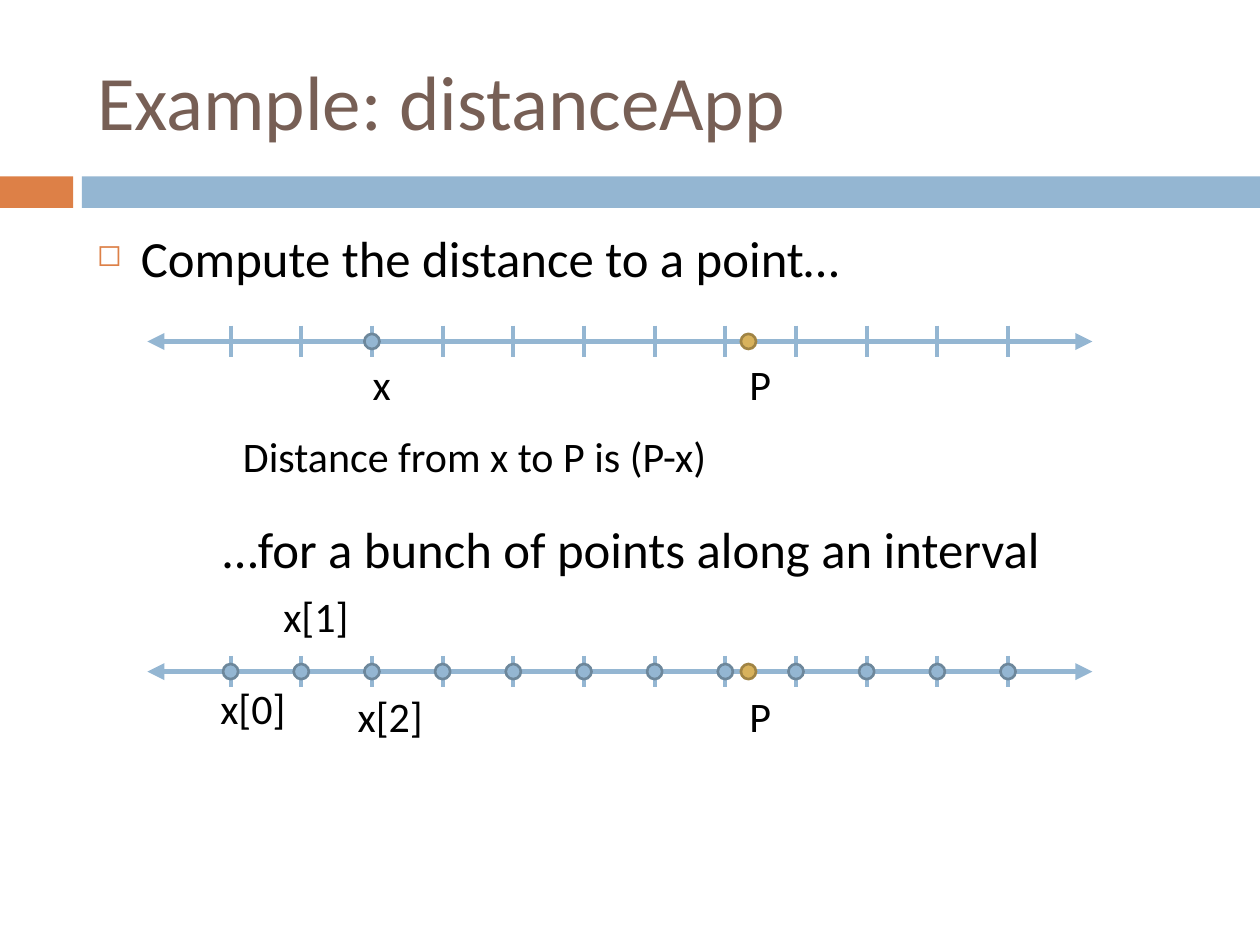
from lxml.etree import SubElement
from pptx import Presentation
from pptx.dml.color import RGBColor
from pptx.enum.shapes import MSO_CONNECTOR, MSO_SHAPE
from pptx.enum.text import MSO_ANCHOR, PP_ALIGN
from pptx.oxml.ns import qn
from pptx.util import Inches, Pt

COLORS = {"blue": "94B6D2", "rim": "6D879B", "gold": "D8B25C", "edge": "A08444",
          "orange": "DD8047", "brown": "775F55", "black": "000000"}
TITLE = "Example: distanceApp"
BODY = ["Compute the distance to a point…", "…for a bunch of points along an interval"]
BANDS = [(0, 0.58, "orange"), (0.65, 9.35, "blue")]
LABELS = [("x", 2.86, 2.8, 0.37), ("P", 5.85, 2.8, 0.37),
          ("Distance from x to P is (P-x)", 1.83, 3.37, 3.89),
          ("x[0]", 1.65, 5.37, 0.74), ("x[1]", 2.15, 4.64, 0.74),
          ("x[2]", 2.74, 5.43, 0.74), ("P", 5.85, 5.43, 0.37)]
COUNT, FIRST, LAST = 12, 1.83, 8
TICKS = [FIRST + i * (LAST - FIRST) / (COUNT - 1) for i in range(COUNT)]
AXES = [(2.71, TICKS[2:3]), (5.33, TICKS)]
POINT, DOT, HALF = 5.94, 0.12, 0.125


def color(name):
    """Return the named colour."""
    return RGBColor.from_string(COLORS[name])


def write(para, text, size, name="black"):
    """Add one run of text to a paragraph."""
    run = para.add_run()
    run.text = text
    run.font.name = "Calibri"
    run.font.size = Pt(size)
    run.font.color.rgb = color(name)


def add_line(slide, start, end, width, arrows=False):
    """Draw a straight line, with arrowheads if wanted."""
    line = slide.shapes.add_connector(MSO_CONNECTOR.STRAIGHT, *map(Inches, start + end))
    line.line.color.rgb = color("blue")
    line.line.width = Pt(width)
    props = line._element.spPr
    if arrows:
        for tag in ("a:headEnd", "a:tailEnd"):
            SubElement(props.find(qn("a:ln")), qn(tag), type="triangle")
    SubElement(props, qn("a:effectLst"))


def add_shape(slide, kind, box, fill, rim=None):
    """Draw a filled shape, with a rim if wanted."""
    shape = slide.shapes.add_shape(kind, *map(Inches, box))
    shape.shadow.inherit = False
    shape.fill.solid()
    shape.fill.fore_color.rgb = color(fill)
    if rim:
        shape.line.color.rgb = color(rim)
        shape.line.width = Pt(1.5)
    else:
        shape.line.fill.background()


def add_dot(slide, x, y, fill, rim):
    """Draw a dot centred on a point."""
    add_shape(slide, MSO_SHAPE.OVAL, (x - DOT / 2, y - DOT / 2, DOT, DOT), fill, rim)


def add_axis(slide, y, dots):
    """Draw a number line with its ticks and dots."""
    add_line(slide, (1.17, y), (8.67, y), 3.25, True)
    for x in TICKS:
        add_line(slide, (x, y - HALF), (x, y + HALF), 2.25)
    for x in dots:
        add_dot(slide, x, y, "blue", "rim")
    add_dot(slide, POINT, y, "gold", "edge")


def add_title(slide):
    """Place and fill the title."""
    title = slide.shapes.title
    title.left, title.top, title.width, title.height = map(Inches, (0.67, 0.25, 8.92, 1.08))
    title.text_frame.vertical_anchor = MSO_ANCHOR.MIDDLE
    para = title.text_frame.paragraphs[0]
    para.alignment = PP_ALIGN.LEFT
    write(para, TITLE, 44, "brown")


def add_body(slide):
    """Write the bullet and its indented follow-up."""
    frame = slide.shapes.add_textbox(*map(Inches, (0.67, 1.75, 8.92, 4.92))).text_frame
    frame.word_wrap = True
    first, second = frame.paragraphs[0], frame.add_paragraph()
    props = first._p.get_or_add_pPr()
    props.set("marL", str(Inches(0.35)))
    props.set("indent", str(-Inches(0.35)))
    SubElement(SubElement(props, qn("a:buClr")), qn("a:srgbClr"), val=COLORS["orange"])
    SubElement(props, qn("a:buSzPct"), val="60000")
    SubElement(props, qn("a:buChar"), char="◻")
    second._p.get_or_add_pPr().set("marL", str(Inches(1)))
    second.space_before = Pt(131.5)
    for para, text in zip((first, second), BODY):
        write(para, text, 29)


def main():
    """Build the slide and save it."""
    deck = Presentation()
    deck.slide_width, deck.slide_height = Inches(10), Inches(7.5)
    slide = deck.slides.add_slide(deck.slide_layouts[5])
    for left, width, fill in BANDS:
        add_shape(slide, MSO_SHAPE.RECTANGLE, (left, 1.4, width, 0.25), fill)
    add_title(slide)
    add_body(slide)
    for y, dots in AXES:
        add_axis(slide, y, dots)
    for text, left, top, width in LABELS:
        frame = slide.shapes.add_textbox(*map(Inches, (left, top, width, 0.5))).text_frame
        frame.word_wrap = False
        write(frame.paragraphs[0], text, 24)
    deck.save("out.pptx")


if __name__ == "__main__":
    main()
